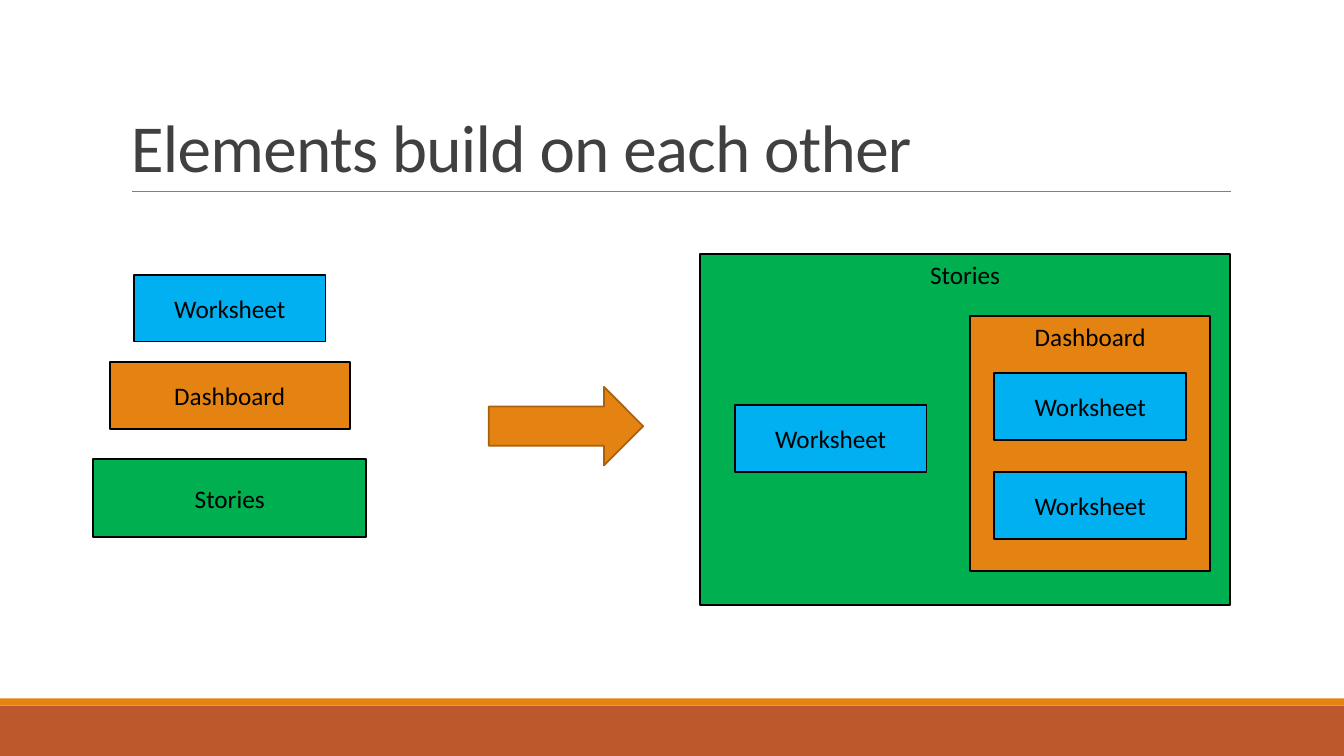
from dataclasses import dataclass

from lxml.etree import SubElement
from pptx import Presentation
from pptx.dml.color import RGBColor
from pptx.enum.shapes import MSO_CONNECTOR as Connector, MSO_SHAPE as Preset
from pptx.enum.text import MSO_ANCHOR as Anchor, PP_ALIGN as Align
from pptx.oxml.ns import qn
from pptx.util import Cm, Pt


@dataclass(frozen=True)
class Theme:
    """Colours, font and type sizes of the slide."""
    font: str = "Calibri"
    title_size: float = 48
    label_size: float = 18
    outline: float = 1.25
    hairline: float = 0.5
    title: str = "404040"
    text: str = "000000"
    rule: str = "808080"
    footer: str = "BD582C"
    accent: str = "E48312"
    arrow_edge: str = "A9610D"
    worksheet: str = "00B0F0"
    dashboard: str = "E48312"
    stories: str = "00B050"


THEME = Theme()
WIDTH, HEIGHT = 33.87, 19.05
SHEET_WIDTH, SHEET_HEIGHT = 4.83, 1.68
DASHBOARD_WIDTH = 6.05


def colour(code):
    """Turn a hex code into a colour."""
    return RGBColor.from_string(code)


def style_paragraph(paragraph, text, size, code):
    """Write text into a paragraph and set its font."""
    paragraph.text = text
    paragraph.font.name = THEME.font
    paragraph.font.size = Pt(size)
    paragraph.font.color.rgb = colour(code)


def add_block(slide, box, fill, edge=None, preset=Preset.RECTANGLE):
    """Add a flat filled shape in a box given in centimetres."""
    shape = slide.shapes.add_shape(preset, *map(Cm, box))
    shape.shadow.inherit = False
    shape.fill.solid()
    shape.fill.fore_color.rgb = colour(fill)
    if edge:
        shape.line.color.rgb = colour(edge)
        shape.line.width = Pt(THEME.outline)
    else:
        shape.line.fill.background()
    return shape


def add_element(slide, box, label, fill, anchor=Anchor.MIDDLE):
    """Add an outlined block with a centred label."""
    frame = add_block(slide, box, fill, THEME.text).text_frame
    frame.word_wrap = True
    frame.vertical_anchor = anchor
    paragraph = frame.paragraphs[0]
    paragraph.alignment = Align.CENTER
    style_paragraph(paragraph, label, THEME.label_size, THEME.text)


def add_worksheet(slide, left, top):
    """Add a worksheet block of the common size."""
    box = (left, top, SHEET_WIDTH, SHEET_HEIGHT)
    add_element(slide, box, "Worksheet", THEME.worksheet)


def add_footer(slide, left, top, width, height):
    """Add the footer band with its thin accent strip on top."""
    strip = 0.18
    add_block(slide, (left, top + strip, width, height - strip), THEME.footer)
    add_block(slide, (left, top, width, strip), THEME.accent)


def add_title(slide, left, top, width, height):
    """Add the title and the rule below it."""
    bottom = top + height
    rule = slide.shapes.add_connector(
        Connector.STRAIGHT, Cm(left + 0.28), Cm(bottom), Cm(left + width + 0.02), Cm(bottom))
    rule.line.color.rgb = colour(THEME.rule)
    rule.line.width = Pt(THEME.hairline)
    SubElement(rule._element.spPr, qn("a:effectLst"))

    frame = slide.shapes.add_textbox(*map(Cm, (left, top, width, height))).text_frame
    frame.word_wrap = True
    frame.vertical_anchor = Anchor.BOTTOM
    paragraph = frame.paragraphs[0]
    paragraph.line_spacing = 0.85
    style_paragraph(paragraph, "Elements build on each other", THEME.title_size, THEME.title)
    paragraph.runs[0]._r.get_or_add_rPr().set("spc", "-50")


def add_stack(slide, left, top, width, height):
    """Add the three separate elements, centred one below another."""
    elements = [
        ("Worksheet", THEME.worksheet, 0, SHEET_WIDTH, SHEET_HEIGHT),
        ("Dashboard", THEME.dashboard, 2.19, DASHBOARD_WIDTH, 1.7),
        ("Stories", THEME.stories, height - 1.98, width, 1.98),
    ]
    for label, fill, offset, size, depth in elements:
        box = (left + (width - size) / 2, top + offset, size, depth)
        add_element(slide, box, label, fill)


def add_dashboard(slide, left, top, width, height):
    """Add a dashboard that holds two worksheets."""
    add_element(slide, (left, top, width, height), "Dashboard", THEME.dashboard, Anchor.TOP)
    for offset in (1.43, 3.93):
        add_worksheet(slide, left + (width - SHEET_WIDTH) / 2, top + offset)


def add_stories(slide, left, top, width, height):
    """Add the stories block that holds a worksheet and a dashboard."""
    add_element(slide, (left, top, width, height), "Stories", THEME.stories, Anchor.TOP)
    add_dashboard(slide, left + 6.8, top + 1.57, DASHBOARD_WIDTH, 6.42)
    add_worksheet(slide, left + 0.87, top + 3.81)


def build_slide(presentation):
    """Add the slide with all its regions."""
    slide = presentation.slides.add_slide(presentation.slide_layouts[6])
    add_footer(slide, 0, 17.6, WIDTH, HEIGHT - 17.6)
    add_title(slide, 3.05, 0.79, 27.94, 4.04)
    add_stack(slide, 2.35, 6.93, 6.88, 6.61)
    add_block(slide, (12.32, 9.75, 3.89, 1.98), THEME.accent, THEME.arrow_edge,
              Preset.RIGHT_ARROW)
    add_stories(slide, 17.65, 6.4, 13.34, 8.85)


def main():
    """Build and save the presentation."""
    presentation = Presentation()
    presentation.slide_width = Cm(WIDTH)
    presentation.slide_height = Cm(HEIGHT)
    build_slide(presentation)
    presentation.save("out.pptx")


if __name__ == "__main__":
    main()
